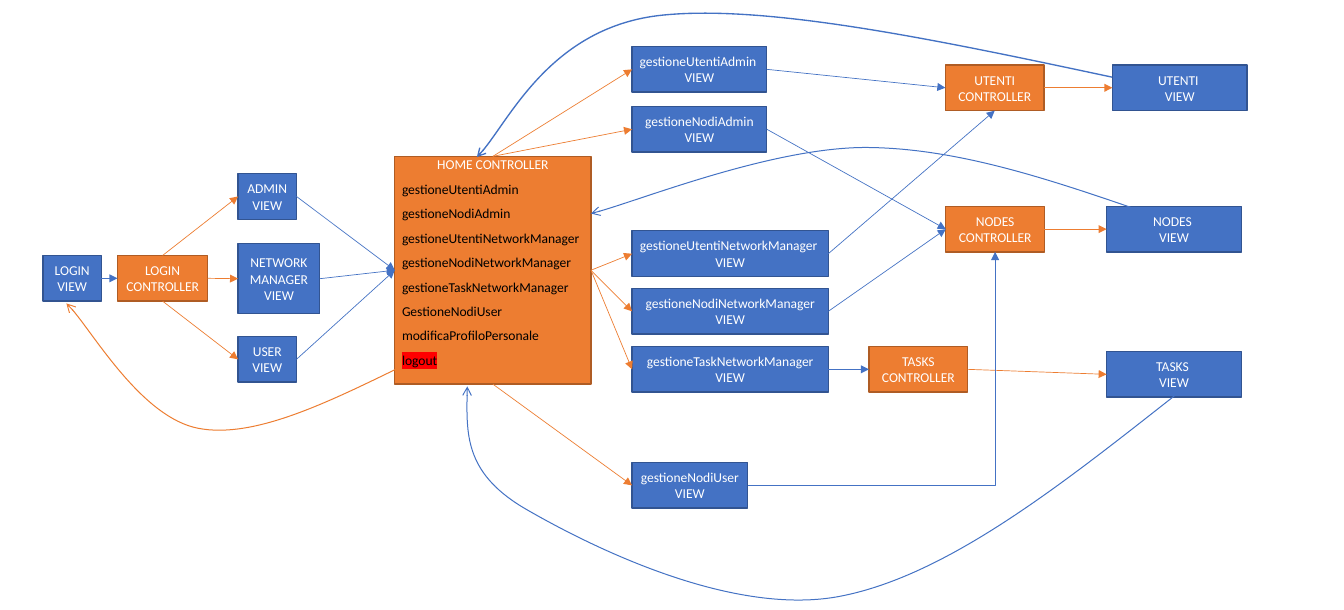
from dataclasses import dataclass

from lxml import etree
from pptx import Presentation
from pptx.dml.color import RGBColor
from pptx.enum import shapes, text
from pptx.oxml.ns import qn
from pptx.util import Cm, Pt


@dataclass(frozen=True)
class Theme:
    font: str = "Calibri"
    size: float = 10
    blue: str = "4472C4"
    blue_edge: str = "325491"
    orange: str = "ED7D31"
    orange_edge: str = "AF5C24"
    light: str = "FFFFFF"
    dark: str = "000000"
    marker: str = "FF0000"
    edge_width: float = 1
    arrow_width: float = 0.5


THEME = Theme()
BOX_H = 1.19
TOP, LEFT, BOTTOM, RIGHT = range(4)  # connection sites of a rectangle


class Diagram:
    """Draws styled elements on one slide; all lengths are centimetres."""

    def __init__(self, slide, theme):
        self.shapes = slide.shapes
        self.theme = theme

    def style(self, p, color, align):
        p.alignment = align
        p.font.name = self.theme.font
        p.font.size = Pt(self.theme.size)
        p.font.color.rgb = RGBColor.from_string(color)

    def box(self, label, x, y, w, h, fill, edge):
        sp = self.shapes.add_shape(shapes.MSO_SHAPE.RECTANGLE, Cm(x), Cm(y), Cm(w), Cm(h))
        sp.shadow.inherit = False
        sp.fill.solid()
        sp.fill.fore_color.rgb = RGBColor.from_string(fill)
        sp.line.color.rgb = RGBColor.from_string(edge)
        sp.line.width = Pt(self.theme.edge_width)
        tf = sp.text_frame
        tf.word_wrap = True
        tf.vertical_anchor = text.MSO_ANCHOR.MIDDLE
        tf.margin_left = tf.margin_right = Cm(0.19)
        tf.margin_top = tf.margin_bottom = Cm(0.1)
        tf.text = label
        for p in tf.paragraphs:
            self.style(p, self.theme.light, text.PP_ALIGN.CENTER)
        return sp

    def view(self, label, x, y, w, h=BOX_H):
        return self.box(label, x, y, w, h, self.theme.blue, self.theme.blue_edge)

    def controller(self, label, x, y, w, h=BOX_H):
        return self.box(label, x, y, w, h, self.theme.orange, self.theme.orange_edge)

    def add_actions(self, sp, actions):
        """List the actions of a controller under its heading."""
        tf = sp.text_frame
        tf.vertical_anchor = text.MSO_ANCHOR.TOP
        tf.margin_top = 0
        for action in actions:
            p = tf.add_paragraph()
            p.text = action
            p.line_spacing = 1.5
            self.style(p, self.theme.dark, text.PP_ALIGN.LEFT)

    def highlight(self, r):
        mark = etree.SubElement(r._r.get_or_add_rPr(), qn("a:highlight"))
        etree.SubElement(mark, qn("a:srgbClr"), val=self.theme.marker)

    def arrow_line(self, sp, color, width, head):
        sp.line.color.rgb = RGBColor.from_string(color)
        sp.line.width = Pt(width)
        etree.SubElement(sp.line._get_or_add_ln(), qn("a:tailEnd"), type=head)

    def connect(self, start, start_site, end, end_site, color, bent=False):
        kind = shapes.MSO_CONNECTOR.ELBOW if bent else shapes.MSO_CONNECTOR.STRAIGHT
        cxn = self.shapes.add_connector(kind, 0, 0, 0, 0)
        cxn.begin_connect(start, start_site)
        cxn.end_connect(end, end_site)
        self.arrow_line(cxn, color, self.theme.arrow_width, "triangle")
        sp_pr = cxn._element.spPr
        etree.SubElement(sp_pr, qn("a:effectLst"))
        if bent:
            sp_pr.find(qn("a:prstGeom")).set("prst", "bentConnector2")

    def curve(self, start, segments, color, width):
        """Draw chained cubic Bezier segments, each (control, control, end)."""
        builder = self.shapes.build_freeform(Cm(start[0]), Cm(start[1]))
        builder.add_line_segments([(Cm(x), Cm(y)) for _, _, (x, y) in segments], close=False)
        sp = builder.convert_to_shape()
        lines = list(sp._element.iter(qn("a:lnTo")))
        for line, controls in zip(lines, segments):
            line.tag = qn("a:cubicBezTo")
            for i, (x, y) in enumerate(controls[:2]):
                pt = etree.Element(qn("a:pt"), x=str(Cm(x) - sp.left), y=str(Cm(y) - sp.top))
                line.insert(i, pt)
        sp.shadow.inherit = False
        sp.fill.background()
        self.arrow_line(sp, color, width, "arrow")


def main():
    prs = Presentation()
    prs.slide_width, prs.slide_height = Cm(35), Cm(15.88)
    d = Diagram(prs.slides.add_slide(prs.slide_layouts[6]), THEME)
    blue, orange = THEME.blue, THEME.orange

    login_view = d.view("LOGIN VIEW", 1.12, 6.65, 1.52)
    login = d.controller("LOGIN CONTROLLER", 3.06, 6.65, 2.35)
    role_views = [
        d.view("ADMIN VIEW", 6.2, 4.52, 1.52),
        d.view("NETWORK MANAGER VIEW", 6.2, 6.34, 2.13, 1.83),
        d.view("USER VIEW", 6.2, 8.76, 1.52),
    ]

    home = d.controller("HOME CONTROLLER", 10.28, 4.07, 5.11, 5.93)
    d.add_actions(home, [
        "gestioneUtentiAdmin", "gestioneNodiAdmin",
        "gestioneUtentiNetworkManager", "gestioneNodiNetworkManager",
        "gestioneTaskNetworkManager", "GestioneNodiUser",
        "modificaProfiloPersonale", "logout",
    ])
    d.highlight(home.text_frame.paragraphs[-1].runs[0])

    admin_users, admin_nodes, manager_users, manager_nodes, manager_tasks, user_nodes = [
        d.view(label, 16.46, y, w) for label, y, w in (
            ("gestioneUtentiAdmin \nVIEW", 1.21, 3.51),
            ("gestioneNodiAdmin VIEW", 2.77, 3.51),
            ("gestioneUtentiNetworkManager \nVIEW", 6.01, 5.11),
            ("gestioneNodiNetworkManager\nVIEW", 7.51, 5.11),
            ("gestioneTaskNetworkManager\nVIEW", 9.02, 5.11),
            ("gestioneNodiUser\nVIEW", 12.04, 3.01),
        )]

    controllers = []
    for name, x, y, view_x, view_y in (
        ("UTENTI", 24.62, 1.69, 28.97, 1.69),
        ("NODES", 24.63, 5.37, 28.82, 5.37),
        ("TASKS", 22.63, 9.02, 28.82, 9.15),
    ):
        controller = d.controller(f"{name} CONTROLLER", x, y, 2.57)
        view = d.view(f"{name} \nVIEW", view_x, view_y, 3.51)
        d.connect(controller, RIGHT, view, LEFT, orange)
        controllers.append(controller)
    users, nodes, tasks = controllers

    d.connect(login_view, RIGHT, login, LEFT, blue)
    for view, site in zip(role_views, (TOP, RIGHT, BOTTOM)):
        d.connect(login, site, view, LEFT, orange)
        d.connect(view, RIGHT, home, LEFT, blue)
    for view, site in (
        (admin_users, TOP), (admin_nodes, TOP), (manager_users, RIGHT),
        (manager_nodes, RIGHT), (manager_tasks, RIGHT), (user_nodes, BOTTOM),
    ):
        d.connect(home, site, view, LEFT, orange)
    for view, controller, site in (
        (admin_users, users, LEFT), (admin_nodes, nodes, LEFT),
        (manager_users, users, BOTTOM), (manager_nodes, nodes, LEFT),
        (manager_tasks, tasks, LEFT),
    ):
        d.connect(view, RIGHT, controller, site, blue)
    d.connect(user_nodes, RIGHT, nodes, BOTTOM, blue, bent=True)

    # Logout, then the returns from UTENTI, TASKS and NODES to home
    d.curve((10.44, 9.55), [
        ((8.51, 10.49), (6.6, 11.43), (5.16, 11.15)),
        ((3.71, 10.87), (2.21, 8.31), (1.73, 7.9))], orange, 0.75)
    d.curve((28.96, 2.01), [
        ((24.41, 1.04), (19.86, 0.08), (17.12, 0.41)),
        ((14.35, 0.76), (13.13, 3.4), (12.42, 4.09))], blue, 1)
    d.curve((30.58, 10.31), [
        ((27.58, 12.67), (24.59, 15.04), (21.79, 15.54)),
        ((18.97, 16.03), (15.34, 14.2), (13.74, 13.28)),
        ((12.14, 12.37), (12.14, 11.23), (12.17, 10.06))], blue, 0.75)
    d.curve((29.77, 5.51), [
        ((27.33, 4.67), (24.89, 3.84), (22.5, 3.84)),
        ((20.09, 3.86), (16.43, 5.31), (15.39, 5.56))], blue, 0.75)

    prs.save("out.pptx")


if __name__ == "__main__":
    main()
